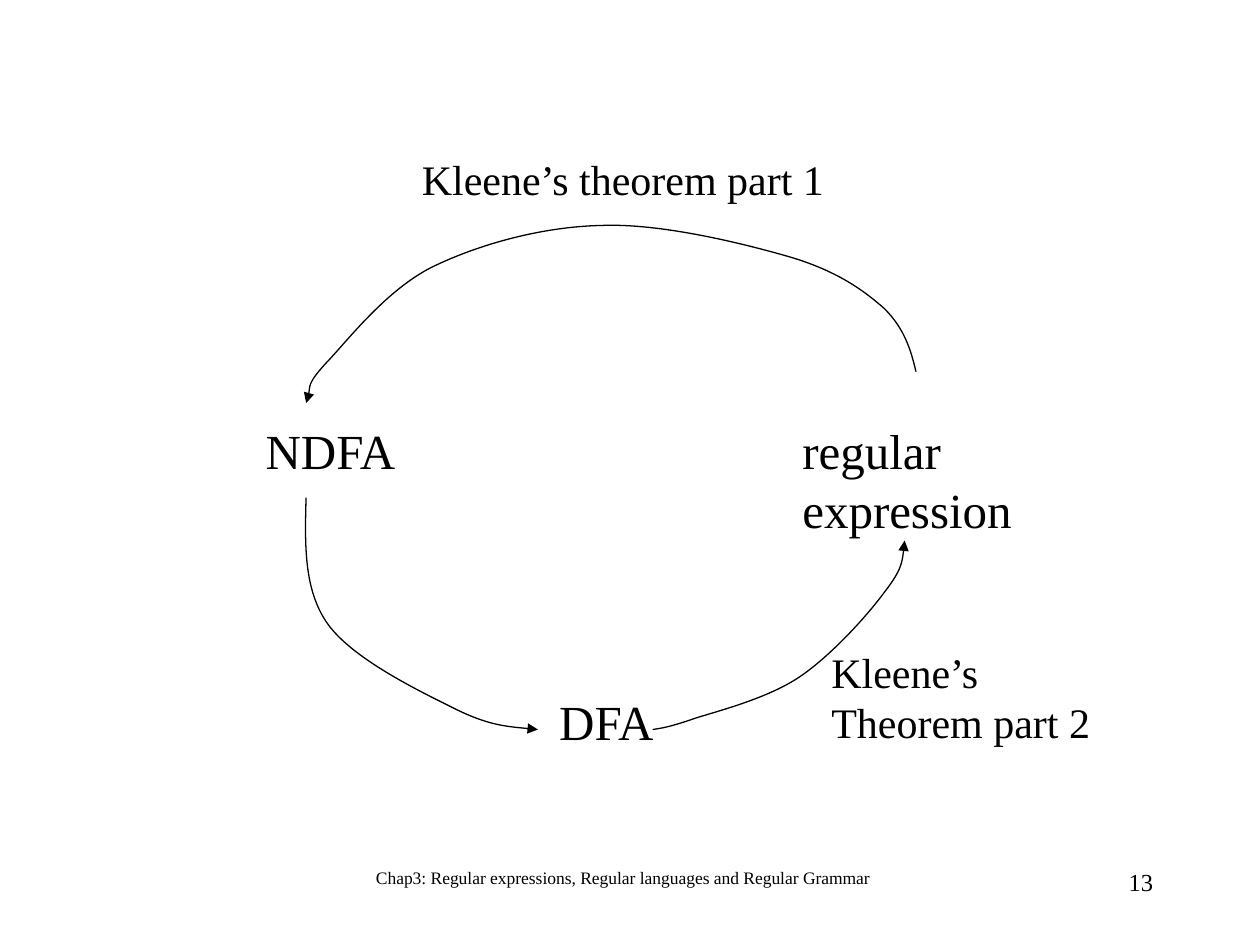
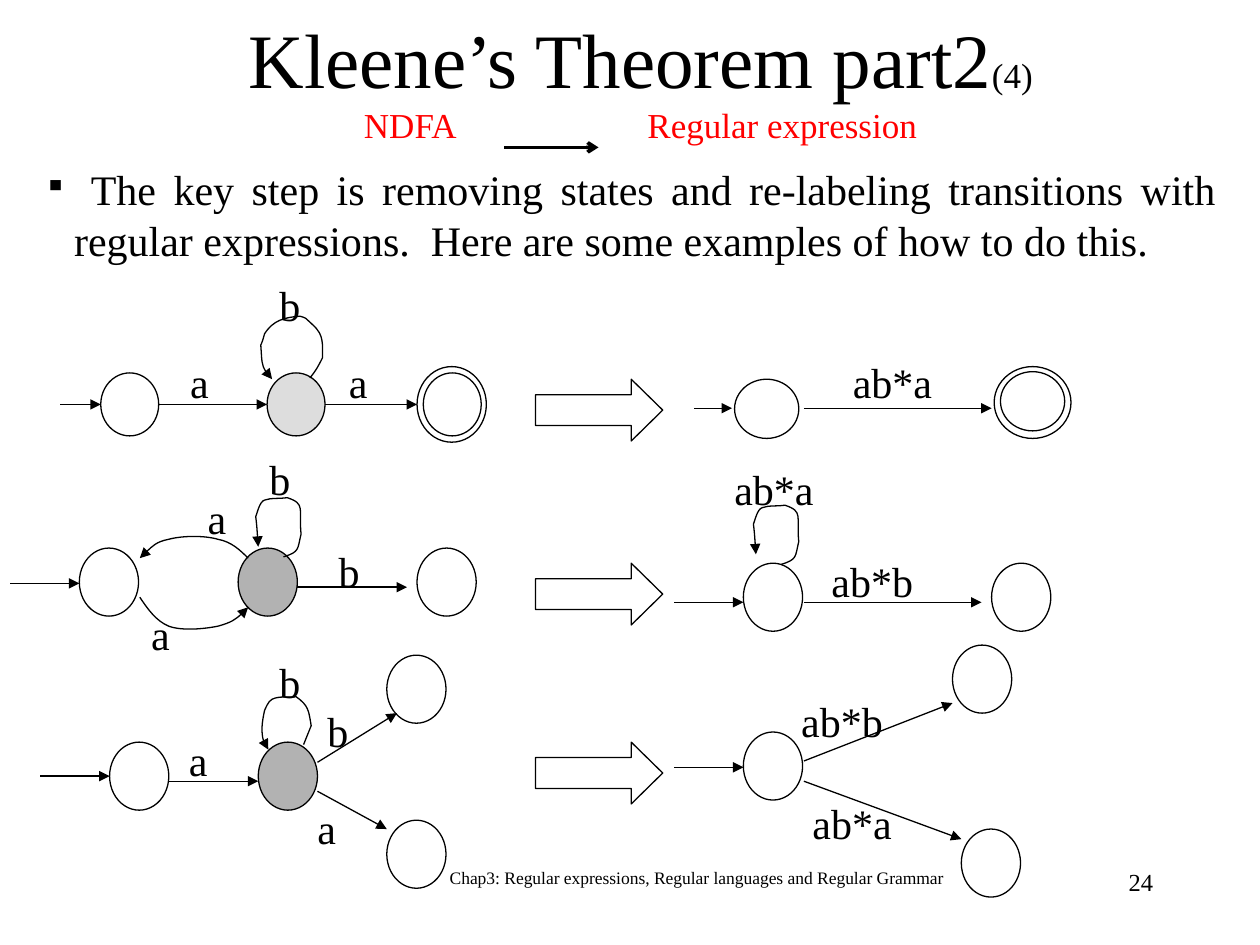
from dataclasses import dataclass

from lxml.etree import SubElement
from pptx import Presentation
from pptx.dml.color import RGBColor
from pptx.enum.shapes import MSO_CONNECTOR, MSO_SHAPE
from pptx.enum.text import MSO_ANCHOR, MSO_AUTO_SIZE, PP_ALIGN
from pptx.oxml.ns import qn
from pptx.util import Emu, Inches, Pt


@dataclass(frozen=True)
class Theme:
    font: str = "Times New Roman"
    ink: str = "000000"
    accent: str = "FF0000"
    light_state: str = "DDDDDD"
    dark_state: str = "B2B2B2"
    title: int = 44
    node: int = 28
    body: int = 24
    subtitle: int = 20
    number: int = 14
    footer: int = 10
    thin: float = 0.75
    thick: float = 2


THEME = Theme()
COLUMNS, ROWS = 100, 75
FOOTER = "Chap3: Regular expressions, Regular languages and Regular Grammar "
LABEL_WIDTHS = {"a": 3.5, "b": 3.6, "ab*a": 8.3, "ab*b": 8.5}


def write(frame, text, size=THEME.body, colour=THEME.ink, align=PP_ALIGN.LEFT,
          bullet=None, hanging=0, tabs=(), same_line=False):
    """Add text as a new paragraph, or as a run of the last one."""
    paragraph = frame.paragraphs[-1]
    if paragraph.runs and not same_line:
        paragraph = frame.add_paragraph()
    if not same_line:
        paragraph.alignment = align
        properties = paragraph._p.get_or_add_pPr()
        if bullet:
            properties.set("marL", str(hanging))
            properties.set("indent", str(-hanging))
            SubElement(properties, qn("a:buSzPct"), val="75000")
            SubElement(properties, qn("a:buChar"), char=bullet)
        if tabs:
            tab_list = SubElement(properties, qn("a:tabLst"))
            for position in tabs:
                SubElement(tab_list, qn("a:tab"), pos=str(position), algn="l")
    run = paragraph.add_run()
    run.text = text
    run.font.name = THEME.font
    run.font.size = Pt(size)
    run.font.color.rgb = RGBColor.from_string(colour)


def bend(shape):
    """Turn each three straight segments of a freeform into one cubic curve."""
    outline = next(shape.element.iter(qn("a:custGeom"))).find(
        f"{qn('a:pathLst')}/{qn('a:path')}")
    segments = outline.findall(qn("a:lnTo"))
    for index in range(0, len(segments), 3):
        cubic = SubElement(outline, qn("a:cubicBezTo"))
        for segment in segments[index:index + 3]:
            cubic.append(segment[0])
            outline.remove(segment)


class Deck:
    def __init__(self):
        self.presentation = Presentation()
        self.presentation.slide_width = Inches(10)
        self.presentation.slide_height = Inches(7.5)
        self.slide = None

    def column(self, count):
        return Emu(round(self.presentation.slide_width * count / COLUMNS))

    def row(self, count):
        return Emu(round(self.presentation.slide_height * count / ROWS))

    def box(self, left, top, width, height):
        return self.column(left), self.row(top), self.column(width), self.row(height)

    def new_slide(self, number, footer_left, footer_width):
        layout = self.presentation.slide_layouts[6]
        self.slide = self.presentation.slides.add_slide(layout)
        write(self.frame(footer_left, 68.3, footer_width, 5), FOOTER,
              size=THEME.footer, align=PP_ALIGN.CENTER)
        write(self.frame(71.7, 68.3, 20.8, 5), str(number),
              size=THEME.number, align=PP_ALIGN.RIGHT)

    def frame(self, left, top, width, height, wrap=True, anchor=MSO_ANCHOR.TOP):
        frame = self.slide.shapes.add_textbox(*self.box(left, top, width, height)).text_frame
        frame.word_wrap = wrap
        frame.vertical_anchor = anchor
        if not wrap:
            frame.auto_size = MSO_AUTO_SIZE.SHAPE_TO_FIT_TEXT
        return frame

    def caption(self, left, top, width, height, *lines, size=THEME.body):
        frame = self.frame(left, top, width, height, wrap=False)
        for line in lines:
            write(frame, line, size=size)

    def label(self, text, left, top):
        self.caption(left, top, LABEL_WIDTHS[text], 5, text)

    def outline(self, shape, width=THEME.thin, head=None):
        shape.line.color.rgb = RGBColor.from_string(THEME.ink)
        shape.line.width = Pt(width)
        if head:
            SubElement(shape.element.spPr.find(qn("a:ln")), qn("a:tailEnd"), type=head)

    def shape(self, kind, left, top, width, height, fill=None):
        shape = self.slide.shapes.add_shape(kind, *self.box(left, top, width, height))
        shape.shadow.inherit = False
        if fill:
            shape.fill.solid()
            shape.fill.fore_color.rgb = RGBColor.from_string(fill)
        else:
            shape.fill.background()
        self.outline(shape)
        return shape

    def state(self, left, top, width=4.7, height=5.4, fill=None):
        self.shape(MSO_SHAPE.OVAL, left, top, width, height, fill)

    def block_arrow(self, top):
        arrow = self.shape(MSO_SHAPE.RIGHT_ARROW, 42.5, top, 10.1, 4.9)
        arrow.adjustments[1] = 0.51

    def arrow(self, x1, y1, x2, y2, width=THEME.thin, head="triangle"):
        connector = self.slide.shapes.add_connector(
            MSO_CONNECTOR.STRAIGHT, self.column(x1), self.row(y1),
            self.column(x2), self.row(y2))
        self.outline(connector, width, head)
        SubElement(connector.element.spPr, qn("a:effectLst"))

    def curve(self, *knots, shift=(0, 0)):
        """Draw an arrow along a start point and triples of curve points."""
        start, *others = [(self.column(x + shift[0]), self.row(y + shift[1]))
                          for x, y in knots]
        builder = self.slide.shapes.build_freeform(*start)
        builder.add_line_segments(others, close=False)
        shape = builder.convert_to_shape()
        bend(shape)
        shape.shadow.inherit = False
        shape.fill.background()
        self.outline(shape, head="triangle")


def theorem_cycle(deck):
    deck.new_slide(13, 26.7, 45.8)

    # The three equivalent descriptions
    deck.caption(20.1, 32.9, 12.6, 5.7, "NDFA", size=THEME.node)
    deck.caption(43.4, 54.4, 9.7, 5.7, "DFA", size=THEME.node)
    deck.caption(62.7, 32.9, 18.6, 10.4, "regular", "expression", size=THEME.node)

    # Regular expression to NDFA, NDFA to DFA, DFA to regular expression
    deck.curve((72.7, 29.5), (72.3, 27.8), (71.8, 26.1), (70.2, 24.5),
               (68.5, 23), (66.4, 21.5), (62.7, 20.4), (58.9, 19.3), (52.4, 17.7),
               (47.7, 17.9), (43, 18), (38, 19.4), (34.3, 21.2), (30.7, 23),
               (27.7, 26.9), (26, 28.7), (24.3, 30.5), (24.6, 31.5), (24.3, 32))
    deck.curve((24.3, 39.5), (24.2, 43.2), (24.1, 46.8), (26, 49.5),
               (28, 52.3), (33.2, 54.8), (36, 56.2), (38.8, 57.6), (40.7, 57.7), (42.7, 57.9))
    deck.curve((51.8, 57.9), (52.5, 57.8), (53.2, 57.7), (55.2, 57),
               (57.1, 56.4), (61, 55.4), (63.5, 53.7), (66, 52), (68.8, 48.9),
               (70.2, 47), (71.6, 45.2), (71.7, 44.1), (71.8, 42.9))

    # Theorem parts
    deck.caption(32.5, 11.7, 34.1, 5, "Kleene’s theorem part 1")
    deck.caption(65, 50.8, 22.7, 9, "Kleene’s", "Theorem part 2")


def state_removal(deck):
    deck.new_slide(24, 34.2, 42.5)

    # Title with its red second line
    title = deck.frame(4.2, 0, 93.3, 12.5, anchor=MSO_ANCHOR.MIDDLE)
    write(title, "Kleene’s Theorem part2", size=THEME.title, align=PP_ALIGN.CENTER)
    write(title, "(4)", size=THEME.subtitle, same_line=True)
    write(title, "\tNDFA\tRegular expression", size=THEME.subtitle, colour=THEME.accent,
          tabs=(deck.column(23.7), deck.column(46.2)))
    deck.arrow(40, 11.7, 47.5, 11.7, width=THEME.thick, head="arrow")

    # Key step
    write(deck.frame(2.5, 12.5, 95, 9),
          " The key step is removing states and re-labeling transitions with regular "
          "expressions.  Here are some examples of how to do this.",
          align=PP_ALIGN.JUSTIFY, bullet="▪", hanging=deck.column(2.4))

    for top in (30.1, 44.7, 58.9):
        deck.block_arrow(top)

    # States of the first example, before and after
    for left, fill in ((8, None), (21.2, THEME.light_state), (33.6, None)):
        deck.state(left, 29.6, 4.6, 5, fill)
    deck.state(33.1, 29.1, 5.5, 6)
    for left, top in ((58.3, 30.1), (79.4, 29.5)):
        deck.state(left, top, 5.1, 4.7)
    deck.state(78.9, 29.1, 6.1, 5.7)

    # States of the second and third examples
    for left, top in ((6.3, 43.5), (33.1, 43.5), (59, 44.7), (78.7, 44.7),
                      (8.7, 58.9), (30.7, 65.1), (30.7, 52),
                      (59, 58.1), (76.3, 65.8), (75.6, 51.2)):
        deck.state(left, top)
    for left, top in ((18.9, 43.5), (20.5, 58.9)):
        deck.state(left, top, fill=THEME.dark_state)

    # Straight transitions, example by example
    for ends in (
            (4.8, 32.1, 8, 32.1), (12.5, 32.1, 21.2, 32.1), (25.8, 32.1, 33.1, 32.1),
            (55.1, 32.4, 58.1, 32.4), (63.8, 32.4, 78.7, 32.4),
            (0.8, 46.3, 6.3, 46.3), (23.6, 46.6, 32.3, 46.6),
            (53.5, 47.8, 59, 47.8), (63.8, 47.8, 77.9, 47.8),
            (3.2, 61.6, 8.7, 61.6), (13.4, 62, 20.5, 62),
            (25.2, 60.5, 31.5, 56.6), (25.2, 62.8, 30.7, 65.8),
            (53.5, 60.9, 59, 60.9), (63.8, 60.4, 75.6, 55.8), (63.8, 62, 76.3, 66.6)):
        deck.arrow(*ends)

    # Self-loops
    deck.curve((24.6, 30), (25.1, 29.4), (25.3, 29), (25.6, 28.4),
               (25.6, 27.7), (25.7, 26.8), (25.2, 26.2), (25.1, 26), (24.4, 25.4),
               (24.3, 25.3), (24.2, 25.2), (23.8, 25.1), (23.8, 25.1),
               (22.6, 25.2), (21.7, 25.4), (21, 26.5), (20.8, 27.2), (20.9, 26.9),
               (20.7, 27.4), (20.8, 28.7), (20.7, 29.2), (21.6, 30.1))
    for shift in ((0, 0), (39.5, 0.6)):
        deck.curve((22.5, 44.2), (23.8, 43.8), (23.6, 43.6), (23.9, 42.4),
                   (23.7, 40.4), (24.3, 40), (22.8, 39.5), (22.2, 39.6), (21.5, 39.5),
                   (21, 39.7), (20.6, 39.8), (20.4, 40.8), (20.3, 41),
                   (20.4, 41.8), (20.5, 43.4), (20.5, 43.4), shift=shift)
    deck.curve((24.1, 59.1), (24.3, 58.6), (24.5, 58.1), (24.7, 57.6),
               (24.5, 56.4), (24.5, 56), (23.5, 55.3), (22.9, 55.4), (22.2, 55.2),
               (21.6, 55.5), (21.3, 55.6), (21, 56.4), (21, 56.4),
               (20.8, 57.3), (20.6, 58.8), (21.3, 59.5))

    # Curved transitions of the second example
    deck.curve((11.1, 47.4), (11.7, 48.3), (12.4, 49.3), (13.4, 49.7),
               (14.5, 50.1), (16.3, 49.9), (17.3, 49.7), (18.4, 49.4), (19.1, 48.9), (19.7, 48.2))
    deck.curve((19.7, 44.3), (19.1, 43.7), (18.4, 43), (17.3, 42.8),
               (16.3, 42.5), (14.5, 42.5), (13.4, 42.8), (12.4, 43), (11.7, 43.7), (11.1, 44.3))

    # Transition labels
    for text, places in {
            "a": ((14.1, 27.8), (26.7, 27.8), (15.5, 38.6), (11, 47.8), (14, 57.8), (24.2, 63.2)),
            "b": ((21.2, 21.7), (20.4, 35.5), (25.9, 42.8), (21.2, 51.6), (25, 55.5)),
            "ab*a": ((66.7, 27.8), (57.3, 36.3), (63.5, 62.8)),
            "ab*b": ((65, 43.6), (62.6, 54.7))}.items():
        for left, top in places:
            deck.label(text, left, top)


def main():
    deck = Deck()
    theorem_cycle(deck)
    state_removal(deck)
    deck.presentation.save("out.pptx")


if __name__ == "__main__":
    main()
